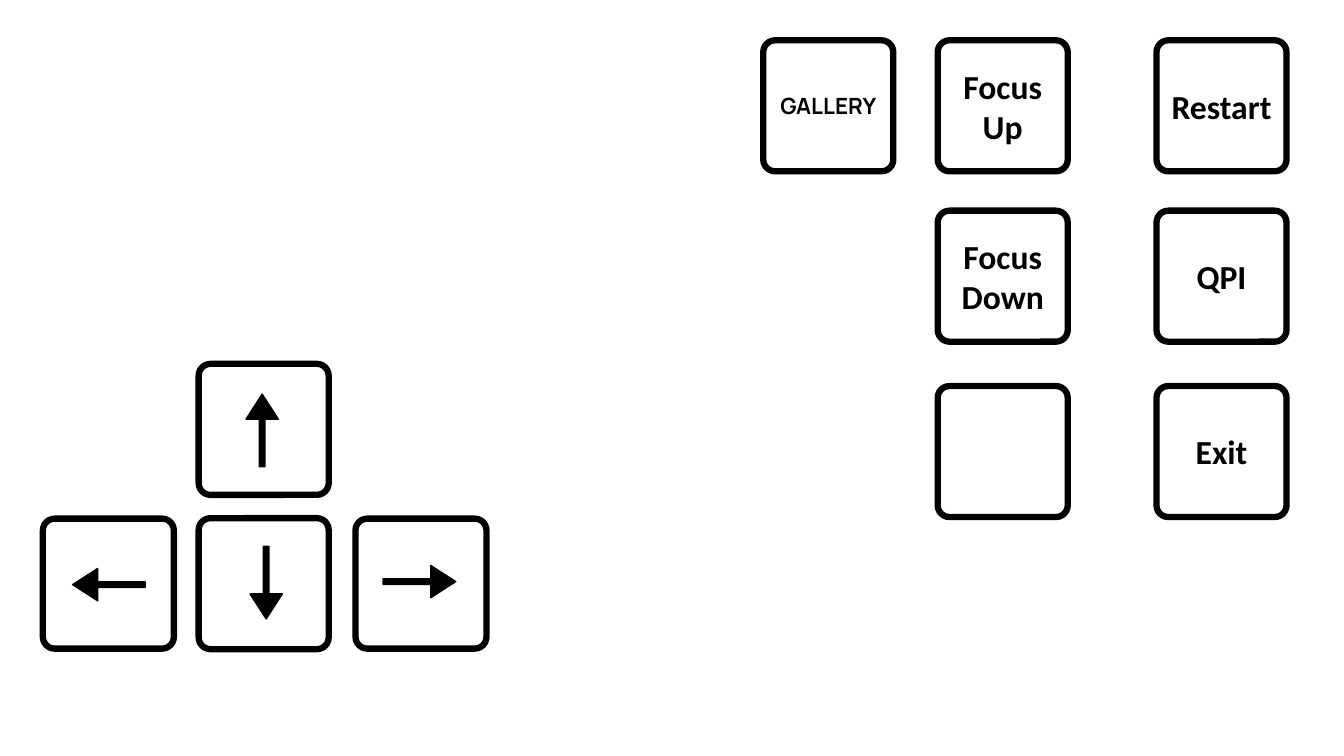
from pptx import Presentation
from pptx.dml.color import RGBColor
from pptx.enum.shapes import MSO_SHAPE
from pptx.enum.text import MSO_ANCHOR, PP_ALIGN
from pptx.util import Inches, Pt

ARROW_KEYS = [
    {"key": (1.97, 3.61), "arrow": (2.44, 3.91), "turn": 0},
    {"key": (1.97, 5.14), "arrow": (2.48, 5.42), "turn": 180},
    {"key": (3.53, 5.14), "arrow": (4.00, 5.41), "turn": 90},
    {"key": (0.43, 5.14), "arrow": (0.92, 5.44), "turn": 270},
]
COLUMNS = {"gallery": 7.57, "focus": 9.3, "command": 11.47}
ROWS = [0.4, 2.09, 3.83]
LABEL_KEYS = [
    ("command", 0, ["Restart"], "label"),
    ("command", 1, ["QPI"], "label"),
    ("command", 2, ["Exit"], "label"),
    ("focus", 0, ["Focus", "Up"], "label"),
    ("focus", 1, ["Focus", "Down"], "label"),
    ("focus", 2, [], "label"),
    ("gallery", 0, ["GALLERY"], "gallery"),
]
KEY_SIZE = (1.29, 1.3)
ARROW_SIZE = (0.32, 0.72)
THEME = {
    "ink": RGBColor(0, 0, 0),
    "paper": RGBColor(255, 255, 255),
    "key_line": Pt(4.5),
    "arrow_line": Pt(1),
    "label": ("Calibri", Pt(24)),
    "gallery": ("Manrope", Pt(16)),
}


def add_outlined(shapes, kind, corner, size, adjustments, fill, line):
    shape = shapes.add_shape(kind, *(Inches(value) for value in corner + size))
    for index, value in enumerate(adjustments):
        shape.adjustments[index] = value
    shape.shadow.inherit = False
    shape.fill.solid()
    shape.fill.fore_color.rgb = THEME[fill]
    shape.line.color.rgb = THEME["ink"]
    shape.line.width = THEME[line]
    return shape


def add_key(shapes, corner):
    return add_outlined(shapes, MSO_SHAPE.ROUNDED_RECTANGLE, corner, KEY_SIZE,
                        [0.091], "paper", "key_line")


def add_arrow_key(page, key, arrow, turn):
    group = page.shapes.add_group_shape()
    cap = add_key(group.shapes, key)
    pointer = add_outlined(group.shapes, MSO_SHAPE.UP_ARROW, arrow, ARROW_SIZE,
                           [0.172, 0.775], "ink", "arrow_line")
    cap.rotation = pointer.rotation = turn


def add_label(key, lines, style):
    frame = key.text_frame
    frame.word_wrap = True
    frame.vertical_anchor = MSO_ANCHOR.MIDDLE
    frame.margin_left = frame.margin_right = 0
    for index, line in enumerate(lines):
        para = frame.add_paragraph() if index else frame.paragraphs[0]
        para.alignment = PP_ALIGN.CENTER
        span = para.add_run()
        span.text = line
        span.font.name, span.font.size = THEME[style]
        span.font.bold = True
        span.font.color.rgb = THEME["ink"]


def main():
    deck = Presentation()
    deck.slide_width, deck.slide_height = Inches(13.33), Inches(7.5)
    page = deck.slides.add_slide(deck.slide_layouts[6])
    for arrow_key in ARROW_KEYS:
        add_arrow_key(page, **arrow_key)
    for column, row, lines, style in LABEL_KEYS:
        key = add_key(page.shapes, (COLUMNS[column], ROWS[row]))
        add_label(key, lines, style)
    deck.save("out.pptx")


if __name__ == "__main__":
    main()
